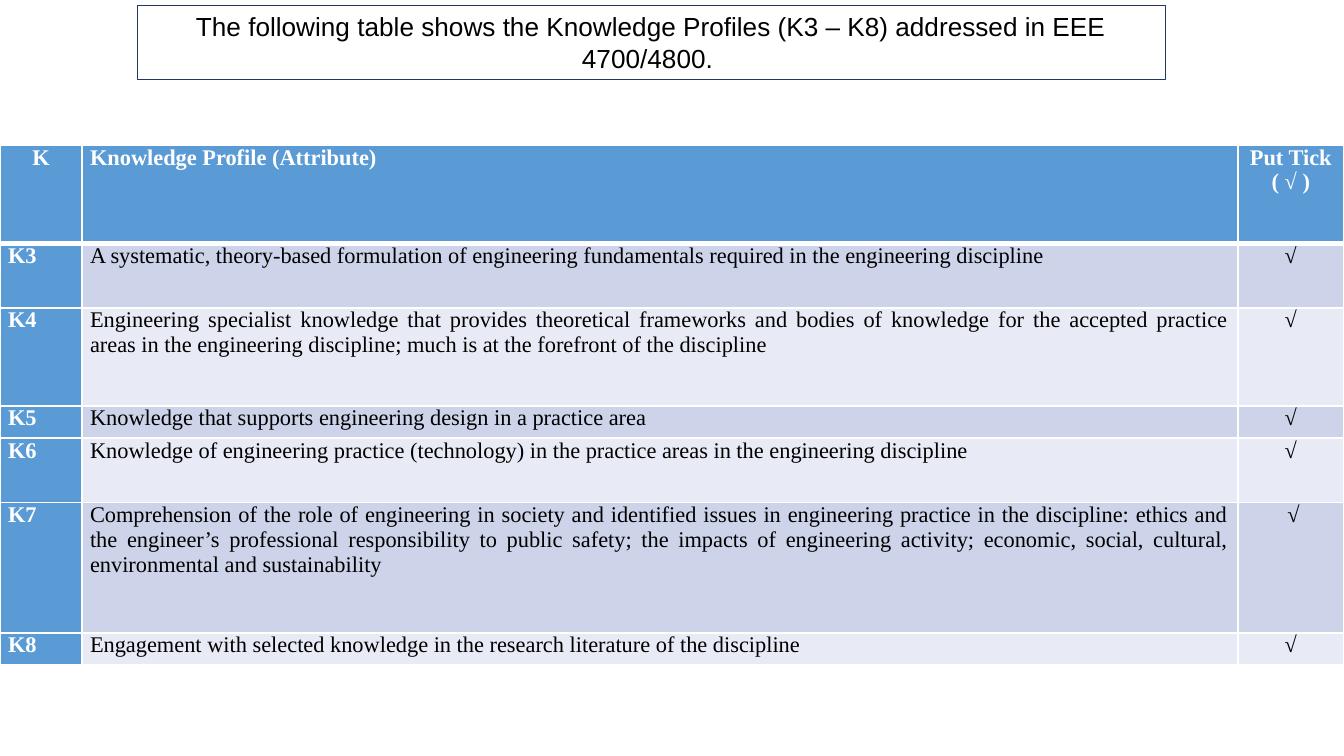
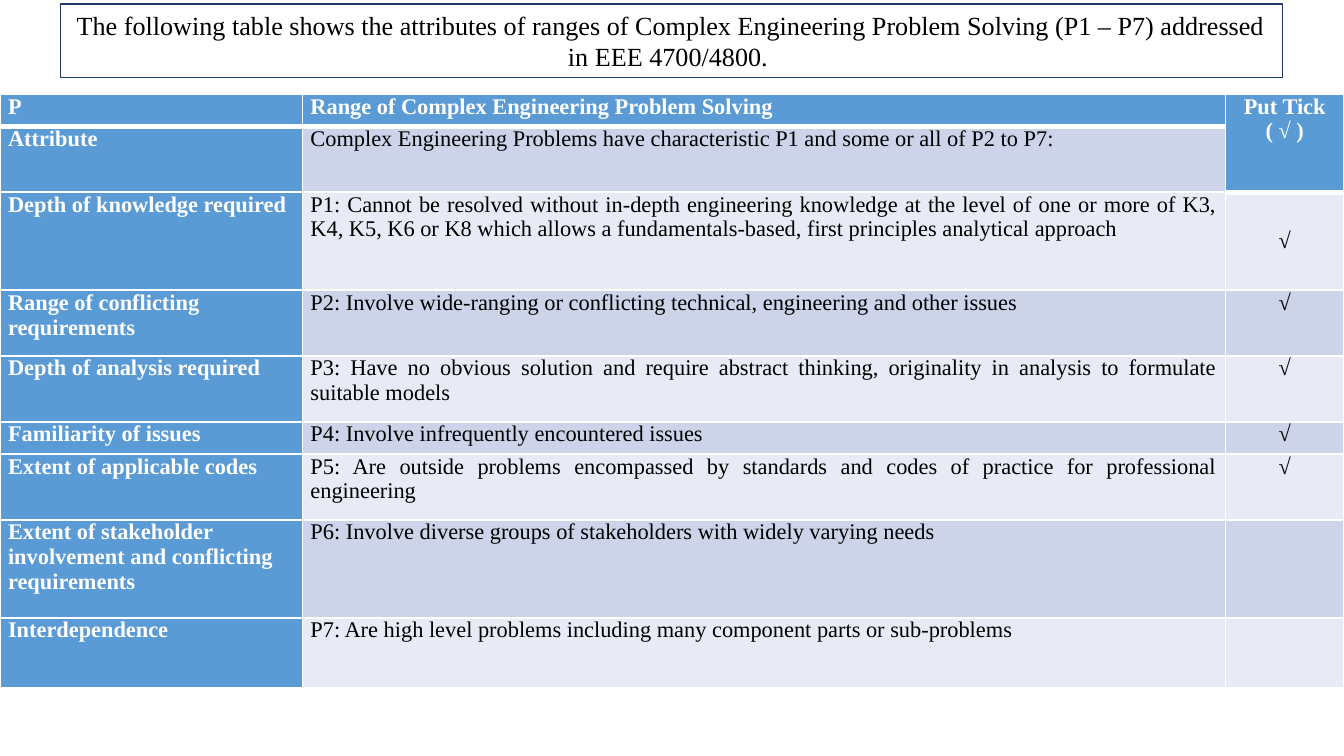
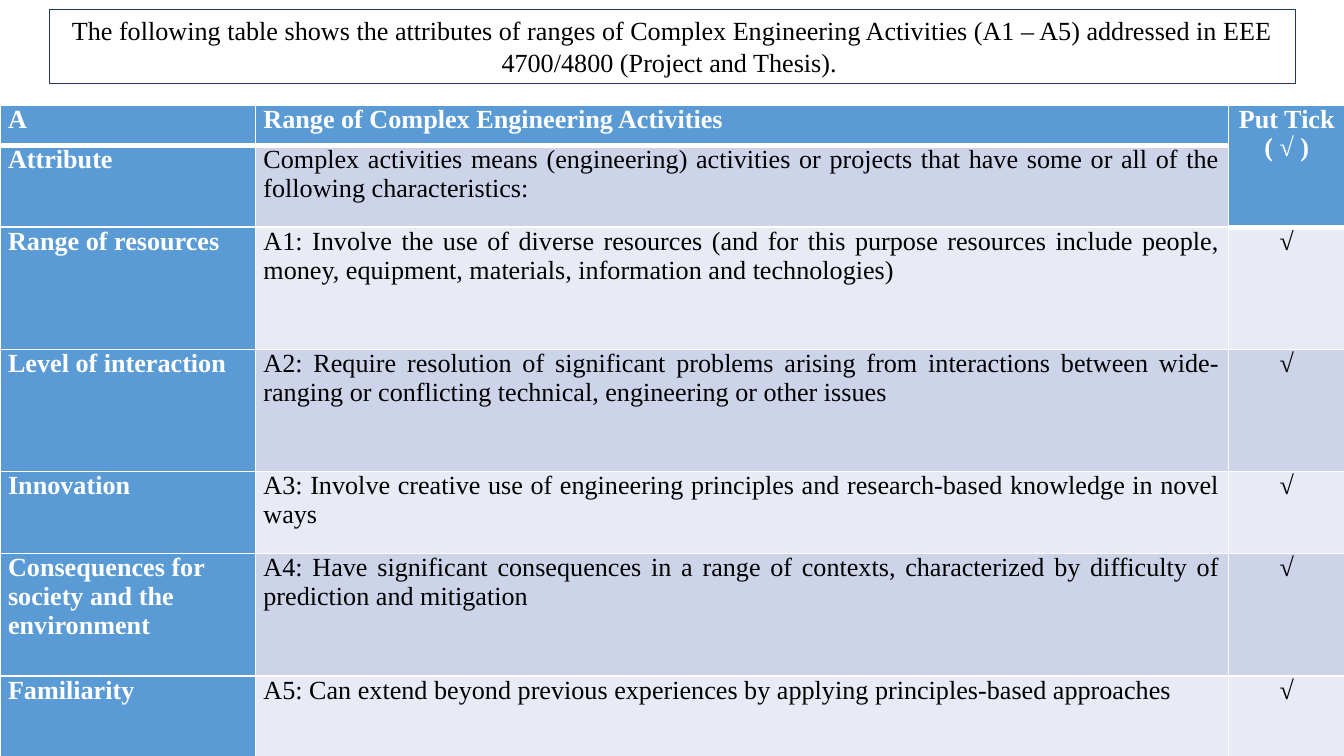
from lxml.etree import SubElement
from pptx import Presentation
from pptx.dml.color import RGBColor
from pptx.enum.text import MSO_ANCHOR, MSO_AUTO_SIZE, PP_ALIGN
from pptx.oxml.ns import qn
from pptx.util import Inches, Pt

WHITE = RGBColor(0xFF, 0xFF, 0xFF)
BLACK = RGBColor(0x00, 0x00, 0x00)
NAVY = RGBColor(0x1F, 0x38, 0x64)
BLUE = RGBColor(0x5B, 0x9B, 0xD5)
DARK_BAND = RGBColor(0xCD, 0xD4, 0xEA)
LIGHT_BAND = RGBColor(0xE8, 0xEB, 0xF5)

SERIF = "Times New Roman"
TITLE_ONLY = 5
TITLE_HEIGHT = 0.55
TICK_HEADER = "Put Tick\n( √ )"
COLUMN_ALIGNMENTS = (PP_ALIGN.LEFT, PP_ALIGN.JUSTIFY, PP_ALIGN.CENTER)

# Each row: height, attribute, description, tick
SLIDES = [
    {
        "title": "The following table shows the Knowledge Profiles (K3 – K8) addressed in EEE 4700/4800. ",
        "title_font": "Arial",
        "title_box": (1.02, 0.04, 7.65),
        "table_top": 1.08,
        "columns": (0.61, 8.6, 0.79),
        "size": 12,
        "first_header_alignment": PP_ALIGN.CENTER,
        "tick_header_rows": 1,
        "middle_tick_row": None,
        "rows": [
            (0.73, "K", "Knowledge Profile (Attribute)", TICK_HEADER),
            (0.48, "K3", "A systematic, theory-based formulation of engineering fundamentals required "
             "in the engineering discipline", "√"),
            (0.73, "K4", "Engineering specialist knowledge that provides theoretical frameworks and bodies "
             "of knowledge for the accepted practice areas in the engineering discipline; much is at the "
             "forefront of the discipline", "√"),
            (0.24, "K5", "Knowledge that supports engineering design in a practice area", "√"),
            (0.48, "K6", "Knowledge of engineering practice (technology) in the practice areas in the "
             "engineering discipline", "√"),
            (0.97, "K7", "Comprehension of the role of engineering in society and identified issues in "
             "engineering practice in the discipline: ethics and the engineer’s professional responsibility "
             "to public safety; the impacts of engineering activity; economic, social, cultural, "
             "environmental and sustainability", " √"),
            (0.24, "K8", "Engagement with selected knowledge in the research literature of the discipline", "√"),
        ],
    },
    {
        "title": "The following table shows the attributes of ranges of Complex Engineering Problem Solving "
                 "(P1 – P7) addressed in EEE 4700/4800. ",
        "title_font": SERIF,
        "title_box": (0.45, 0.03, 9.09),
        "table_top": 0.7,
        "columns": (2.25, 6.87, 0.88),
        "size": 12,
        "first_header_alignment": PP_ALIGN.LEFT,
        "tick_header_rows": 2,
        "middle_tick_row": 2,
        "rows": [
            (0.24, "P", "Range of Complex Engineering Problem Solving", TICK_HEADER),
            (0.49, "Attribute", "Complex Engineering Problems have characteristic P1 and some or all of "
             "P2 to P7:", ""),
            (0.73, "Depth of knowledge required", "P1: Cannot be resolved without in-depth engineering "
             "knowledge at the level of one or more of K3, K4, K5, K6 or K8 which allows a "
             "fundamentals-based, first principles analytical approach", "√"),
            (0.49, "Range of conflicting requirements", "P2: Involve wide-ranging or conflicting technical, "
             "engineering and other issues", "√"),
            (0.49, "Depth of analysis required", "P3: Have no obvious solution and require abstract "
             "thinking, originality in analysis to formulate suitable models", "√"),
            (0.24, "Familiarity of issues", "P4: Involve infrequently encountered issues", "√"),
            (0.49, "Extent of applicable codes", "P5: Are outside problems encompassed by standards and "
             "codes of practice for professional engineering", "√"),
            (0.73, "Extent of stakeholder involvement and conflicting requirements",
             "P6: Involve diverse groups of stakeholders with widely varying needs", ""),
            (0.52, "Interdependence", "P7: Are high level problems including many component parts or "
             "sub-problems", ""),
        ],
    },
    {
        "title": "The following table shows the attributes of ranges of Complex Engineering Activities "
                 "(A1 – A5) addressed in EEE 4700/4800 (Project and Thesis). ",
        "title_font": SERIF,
        "title_box": (0.37, 0.07, 9.27),
        "table_top": 0.78,
        "columns": (1.9, 7.24, 0.87),
        "size": 14,
        "first_header_alignment": PP_ALIGN.LEFT,
        "tick_header_rows": 2,
        "middle_tick_row": None,
        "rows": [
            (0.3, "A", "Range of Complex Engineering Activities", TICK_HEADER),
            (0.61, "Attribute", "Complex activities means (engineering) activities or projects that have "
             "some or all of the following characteristics:", ""),
            (0.91, "Range of resources", "A1: Involve the use of diverse resources (and for this purpose "
             "resources include people, money, equipment, materials, information and technologies)", "√"),
            (0.91, "Level of interaction", "A2: Require resolution of significant problems arising from "
             "interactions between wide-ranging or conflicting technical, engineering or other issues", "√"),
            (0.61, "Innovation", "A3: Involve creative use of engineering principles and research-based "
             "knowledge in novel ways", "√"),
            (0.91, "Consequences for society and the environment", "A4: Have significant consequences in "
             "a range of contexts, characterized by difficulty of prediction and mitigation", "√"),
            (0.61, "Familiarity", "A5: Can extend beyond previous experiences by applying "
             "principles-based approaches", "√"),
        ],
    },
]


def add_run(paragraph, text, font_name, size, color, bold=False):
    run = paragraph.add_run()
    run.text = text
    run.font.name = font_name
    run.font.size = Pt(size)
    run.font.color.rgb = color
    run.font.bold = bold


def add_title(slide, content):
    title = slide.shapes.title
    left, top, width = content["title_box"]
    title.left, title.top = Inches(left), Inches(top)
    title.width, title.height = Inches(width), Inches(TITLE_HEIGHT)
    title.line.color.rgb = NAVY
    title.line.width = Pt(0.56)
    frame = title.text_frame
    frame.word_wrap = True
    frame.auto_size = MSO_AUTO_SIZE.NONE
    frame.vertical_anchor = MSO_ANCHOR.TOP
    frame.margin_left = frame.margin_right = Inches(0.07)
    frame.margin_top = frame.margin_bottom = Inches(0.04)
    paragraph = frame.paragraphs[0]
    paragraph.alignment = PP_ALIGN.CENTER
    add_run(paragraph, content["title"], content["title_font"], 14, BLACK)


def set_borders(cell, top, bottom):
    """Draw white cell borders; top and bottom are widths in points. Call before filling."""
    properties = cell._tc.get_or_add_tcPr()
    for side, width in (("L", 1), ("R", 1), ("T", top), ("B", bottom)):
        line = SubElement(properties, qn(f"a:ln{side}"), w=str(Pt(width)))
        fill = SubElement(line, qn("a:solidFill"))
        SubElement(fill, qn("a:srgbClr"), val=str(WHITE))


def fill_cell(cell, text, alignment, size, is_header, band):
    cell.fill.solid()
    cell.fill.fore_color.rgb = BLUE if is_header else band
    cell.margin_left = cell.margin_right = Inches(0.06)
    cell.margin_top = cell.margin_bottom = 0
    if not text:
        return
    frame = cell.text_frame
    for index, line in enumerate(text.split("\n")):
        paragraph = frame.add_paragraph() if index else frame.paragraphs[0]
        paragraph.alignment = alignment
        add_run(paragraph, line, SERIF, size, WHITE if is_header else BLACK, is_header)


def add_attribute_table(slide, content):
    rows, columns = content["rows"], content["columns"]
    table = slide.shapes.add_table(
        len(rows), len(columns), 0, Inches(content["table_top"]),
        Inches(sum(columns)), Inches(sum(row[0] for row in rows))).table
    table.horz_banding = False
    for column, width in zip(table.columns, columns):
        column.width = Inches(width)

    header_depths = (1, 1, content["tick_header_rows"])
    for row_index, (height, *texts) in enumerate(rows):
        table.rows[row_index].height = Inches(height)
        band = DARK_BAND if row_index % 2 else LIGHT_BAND
        for column_index, text in enumerate(texts):
            cell = table.cell(row_index, column_index)
            depth = header_depths[column_index]
            in_header = row_index < depth
            set_borders(cell, top=3 if row_index == depth else 1, bottom=3 if in_header else 1)
            alignment = COLUMN_ALIGNMENTS[column_index]
            if row_index == column_index == 0:
                alignment = content["first_header_alignment"]
            fill_cell(cell, text, alignment, content["size"], in_header or column_index == 0, band)

    if content["tick_header_rows"] > 1:
        table.cell(0, 2).merge(table.cell(content["tick_header_rows"] - 1, 2))
    if content["middle_tick_row"] is not None:
        table.cell(content["middle_tick_row"], 2).vertical_anchor = MSO_ANCHOR.MIDDLE


def main():
    presentation = Presentation()
    presentation.slide_width = Inches(10)
    presentation.slide_height = presentation.slide_width * 9 // 16
    for content in SLIDES:
        slide = presentation.slides.add_slide(presentation.slide_layouts[TITLE_ONLY])
        add_title(slide, content)
        add_attribute_table(slide, content)
    presentation.save("out.pptx")


if __name__ == "__main__":
    main()
